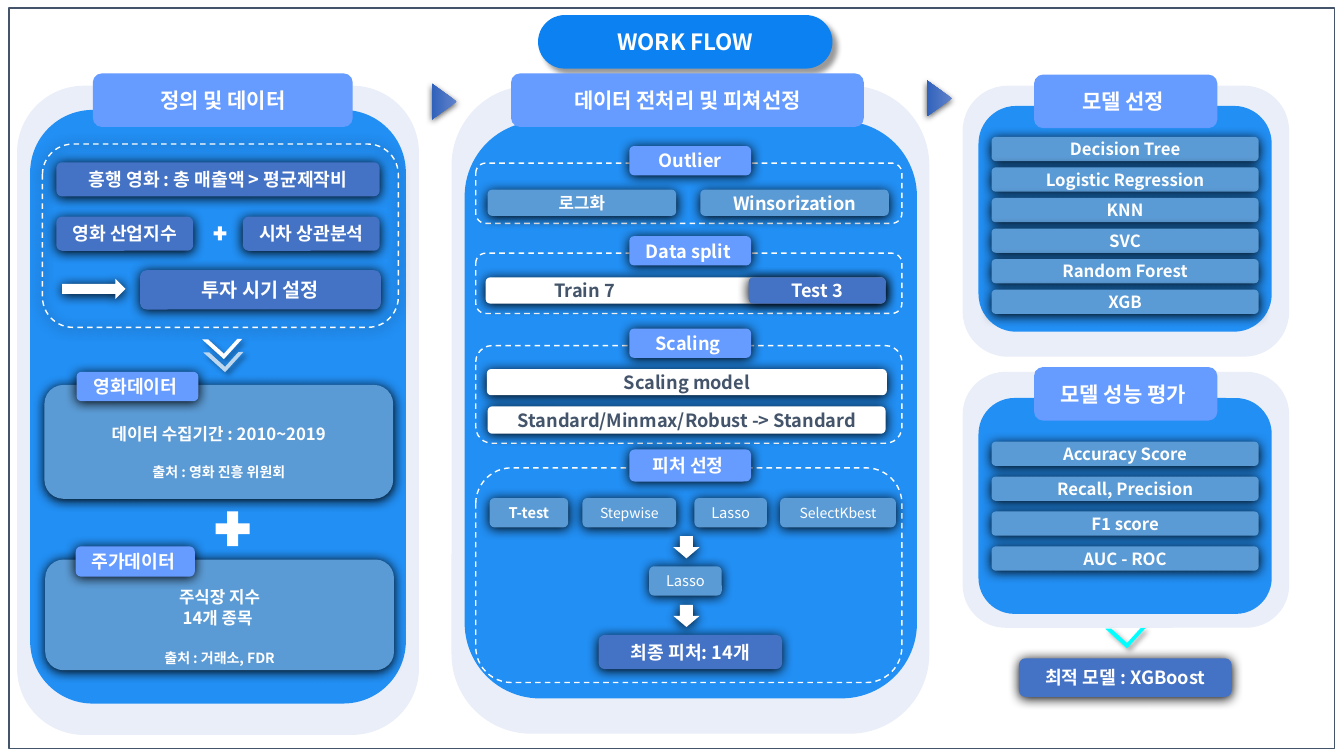
from dataclasses import dataclass

from lxml import etree
from pptx import Presentation
from pptx.dml.color import RGBColor
from pptx.enum.dml import MSO_LINE
from pptx.enum.shapes import MSO_SHAPE
from pptx.enum.text import MSO_ANCHOR, PP_ALIGN
from pptx.oxml.ns import qn
from pptx.util import Cm, Pt

ROUND, RECT = MSO_SHAPE.ROUNDED_RECTANGLE, MSO_SHAPE.RECTANGLE
PLUS, DOWN = MSO_SHAPE.MATH_PLUS, MSO_SHAPE.DOWN_ARROW
WEDGE, HALF = MSO_SHAPE.ISOSCELES_TRIANGLE, MSO_SHAPE.HALF_FRAME
DASH = MSO_LINE.DASH
LEFT, CENTER = PP_ALIGN.LEFT, PP_ALIGN.CENTER
TOP, MIDDLE = MSO_ANCHOR.TOP, MSO_ANCHOR.MIDDLE


@dataclass(frozen=True)
class Theme:
    font: str = "Noto Sans CJK KR"
    white: str = "FFFFFF"
    ink: str = "44546A"
    pale: str = "EAEEF9"
    bright: str = "228FF4"
    vivid: str = "0C81F2"
    tab: str = "669BFF"
    deep: str = "4472C4"
    soft: str = "5B9BD5"
    mist: str = "BDD7EE"
    cyan: str = "00FFFF"
    light: str = "6183CB"
    dark: str = "3062BB"
    head: float = 16
    title: float = 15
    large: float = 14
    label: float = 13
    body: float = 12
    chip: float = 10.5
    small: float = 10


T = Theme()

# Shadows: opacity %, blur pt, distance pt, angle
GLOW = (100, 8.5, 1, 90)
DROP = (40, 4, 5, 45)
EDGE = (40, 4, 3, 45)
LIFT = (63, 4.5, 1.5, 90)


def rgb(code):
    return RGBColor.from_string(code)


def shade(item, look):
    alpha, blur, dist, angle = look
    effects = item._element.spPr.find(qn("a:effectLst"))
    outer = etree.SubElement(
        effects, qn("a:outerShdw"), blurRad=str(Pt(blur)), dist=str(Pt(dist)),
        dir=str(angle * 60000), algn="ctr", rotWithShape="0")
    color = etree.SubElement(outer, qn("a:srgbClr"), val="000000")
    etree.SubElement(color, qn("a:alpha"), val=str(alpha * 1000))


def shape(slide, kind, box, fill=None, glow=None, turn=0):
    item = slide.shapes.add_shape(kind, *map(Cm, box))
    item.shadow.inherit = False
    item.rotation = turn
    item.line.fill.background()
    if fill:
        item.fill.solid()
        item.fill.fore_color.rgb = rgb(fill)
    else:
        item.fill.background()
    if glow:
        shade(item, glow)
    return item


def outline(item, color, dash=None):
    item.line.color.rgb = rgb(color)
    item.line.width = Pt(1)
    if dash:
        item.line.dash_style = dash


def write(para, text, size, color=T.white, bold=True, align=CENTER):
    para.alignment = align
    run = para.add_run()
    run.text = text
    font = run.font
    font.size, font.bold = Pt(size), bold
    font.color.rgb = rgb(color)
    font.name = T.font
    etree.SubElement(font._element, qn("a:ea"), typeface=T.font)


def frame(item, anchor=MIDDLE, left=0, top=0):
    area = item.text_frame
    area.word_wrap = True
    area.vertical_anchor = anchor
    area.margin_left, area.margin_top = Cm(left), Cm(top)
    area.margin_right = area.margin_bottom = 0
    return area


def bar(slide, box, text, fill=T.deep, size=T.label, color=T.white,
        bold=True, glow=GLOW, align=CENTER, left=0):
    item = shape(slide, ROUND, box, fill, glow)
    write(frame(item, left=left).paragraphs[0], text, size, color, bold, align)
    return item


def panel(slide, outer, inner, title, text):
    shape(slide, ROUND, outer, T.pale)
    shape(slide, ROUND, inner, T.bright)
    bar(slide, title, text, T.tab, T.title, glow=None)


def card(slide, box, top, lines, gap, tab, name):
    """Rounded card whose last line is the smaller source note."""
    area = frame(shape(slide, ROUND, box, T.soft, GLOW), TOP, top=top)
    for i, line in enumerate(lines):
        last = i == len(lines) - 1
        para = area.paragraphs[0] if i == 0 else area.add_paragraph()
        if last:
            para.space_before = Pt(gap)
        write(para, line, T.small if last else T.body)
    bar(slide, tab, name, T.tab)


def stage(slide, top, high, name, tall=0.74):
    outline(shape(slide, ROUND, (11.99, top, 10.74, high)), T.white, DASH)
    bar(slide, (15.86, top - 0.06 - tall / 2, 3.07, tall), name, T.tab)


def rows(slide, top, step, names):
    for i, name in enumerate(names):
        bar(slide, (24.99, top + i * step, 6.73, 0.61), name, T.soft, T.body)


def check(slide, x, y, fill):
    item = shape(slide, HALF, (x, y, 0.74, 0.69), fill, EDGE, 222.2)
    item.adjustments[0], item.adjustments[1] = 0.147, 0.134


def wedge(slide, x, y):
    item = shape(slide, WEDGE, (x, y, 0.91, 0.64), T.light, LIFT, 90)
    item.fill.gradient()
    item.fill.gradient_angle = 270
    for stop, color in zip(item.fill.gradient_stops, (T.light, T.dark)):
        stop.color.rgb = rgb(color)


def define(slide):
    panel(slide, (0.43, 2.16, 10.13, 16.36), (0.76, 2.77, 9.47, 14.96),
          (2.34, 1.85, 6.55, 1.35), "정의 및 데이터")
    # Investment timing
    outline(shape(slide, ROUND, (1.07, 3.63, 8.97, 4.62), glow=GLOW),
            T.white, DASH)
    bar(slide, (1.42, 4.09, 8.15, 0.86), "흥행 영화 : 총 매출액 > 평균제작비")
    bar(slide, (1.42, 5.46, 3.45, 0.86), "영화 산업지수")
    shape(slide, PLUS, (5.33, 5.64, 0.43, 0.48), T.white)
    bar(slide, (6.12, 5.46, 3.45, 0.86), "시차 상관분석")
    shape(slide, DOWN, (2.11, 6.48, 0.51, 1.6), T.white, GLOW, 270)
    bar(slide, (3.53, 6.81, 6.07, 0.99), "투자 시기 설정", size=T.large)
    check(slide, 5.23, 8.2, T.white)
    check(slide, 5.26, 8.53, T.mist)
    # Data sources
    card(slide, (1.12, 9.7, 8.79, 2.87), 0.85,
         ("데이터 수집기간 : 2010~2019", "출처 : 영화 진흥 위원회"), 13.5,
         (1.93, 9.37, 3.07, 0.74), "영화데이터 ")
    shape(slide, PLUS, (5.28, 12.73, 1.17, 1.19), T.white)
    card(slide, (1.14, 14.1, 8.79, 2.79), 0.56,
         ("주식장 지수", "14개 종목 ", "출처 : 거래소, FDR"), 15.5,
         (1.91, 13.77, 3, 0.76), "주가데이터 ")


def prepare(slide):
    panel(slide, (11.38, 2.16, 12.04, 16.33), (11.71, 3.05, 11.4, 14.55),
          (12.88, 1.85, 8.89, 1.35), "데이터 전처리 및 피쳐선정")
    # Outliers
    stage(slide, 4.11, 1.52, "Outlier")
    bar(slide, (12.29, 4.78, 4.75, 0.66), "로그화", T.soft, T.body)
    bar(slide, (17.65, 4.78, 4.75, 0.66), "Winsorization", T.soft)
    # Split
    stage(slide, 6.38, 1.52, "Data split ")
    bar(slide, (12.24, 6.99, 10.08, 0.66), "Train 7", T.white, color=T.ink,
        align=LEFT, left=1.7)
    bar(slide, (18.87, 6.99, 3.45, 0.66), "Test 3")
    # Scaling
    stage(slide, 8.71, 2.46, "Scaling ")
    bar(slide, (12.27, 9.3, 10.08, 0.66), "Scaling model", T.white,
        color=T.ink)
    bar(slide, (12.29, 10.24, 10.03, 0.69),
        "Standard/Minmax/Robust -> Standard", T.white, color=T.ink)
    # Feature choice
    stage(slide, 11.79, 5.41, "피처 선정 ", 0.81)
    for x, y, wide, name, size in (
            (12.34, 12.55, 1.98, "T-test", T.chip),
            (14.68, 12.55, 2.36, "Stepwise", T.small),
            (17.5, 12.55, 1.83, "Lasso", T.chip),
            (19.66, 12.55, 2.92, "SelectKbest", T.small),
            (16.36, 14.27, 1.83, "Lasso", T.chip)):
        bar(slide, (x, y, wide, 0.74), name, T.soft, size,
            bold=name == "T-test")
    for y in (13.51, 15.24):
        shape(slide, DOWN, (16.97, y, 0.66, 0.56), T.white, GLOW)
    bar(slide, (15.09, 16, 4.62, 0.86), "최종 피처: 14개")


def model(slide):
    panel(slide, (24.26, 2.16, 8.23, 6.83), (24.66, 2.67, 7.39, 5.69),
          (26.06, 1.88, 4.62, 1.35), "모델 선정 ")
    rows(slide, 3.45, 0.77, ("Decision Tree", "Logistic Regression", "KNN",
                             "SVC", "Random Forest", "XGB"))
    panel(slide, (24.26, 9.37, 8.23, 6.45), (24.66, 10.03, 7.39, 5.44),
          (26.06, 9.25, 4.62, 1.35), "모델 성능 평가 ")
    rows(slide, 11.13, 0.88, ("Accuracy Score", "Recall, Precision",
                              "F1 score", "AUC - ROC"))
    check(slide, 27.99, 15.49, T.cyan)
    bar(slide, (25.68, 16.59, 5.36, 0.97), "최적 모델 : XGBoost")


def main():
    deck = Presentation()
    deck.slide_width, deck.slide_height = Cm(33.87), Cm(19.05)
    slide = deck.slides.add_slide(deck.slide_layouts[6])
    # Border and heading
    outline(shape(slide, RECT, (0.23, 0.2, 33.4, 18.67)), T.ink)
    pill = bar(slide, (13.56, 0.38, 7.42, 1.35), "WORK FLOW", T.vivid, T.head,
               glow=DROP)
    pill.adjustments[0] = 0.5
    # Three columns and the wedges between them
    define(slide)
    wedge(slide, 10.74, 2.24)
    prepare(slide)
    wedge(slide, 23.22, 2.16)
    model(slide)
    deck.save("out.pptx")


if __name__ == "__main__":
    main()
